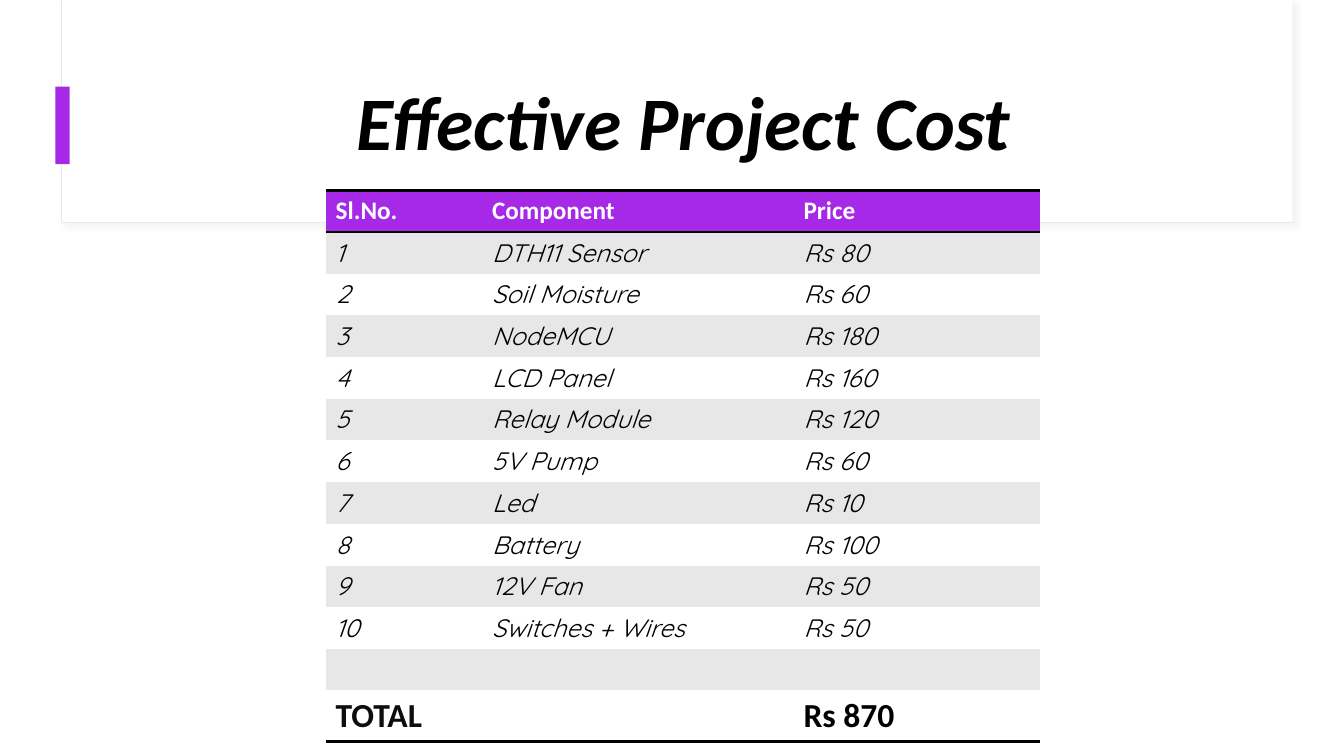
from lxml import etree
from pptx import Presentation
from pptx.dml.color import RGBColor
from pptx.enum.shapes import MSO_SHAPE
from pptx.enum.text import MSO_ANCHOR, MSO_AUTO_SIZE, PP_ALIGN
from pptx.oxml import parse_xml
from pptx.oxml.ns import nsdecls, qn
from pptx.util import Inches, Pt

RECTANGLE = MSO_SHAPE.RECTANGLE
MIDDLE = MSO_ANCHOR.MIDDLE
CENTER = PP_ALIGN.CENTER
NO_AUTOFIT = MSO_AUTO_SIZE.NONE

BLACK = RGBColor(0x00, 0x00, 0x00)
NEAR_BLACK = RGBColor(0x0D, 0x0D, 0x0D)
WHITE = RGBColor(0xFF, 0xFF, 0xFF)
PURPLE = RGBColor(0xA6, 0x29, 0xE7)
BAND_GRAY = RGBColor(0xE7, 0xE7, 0xE7)
FRAME_LINE = RGBColor(0xE3, 0xEB, 0xEF)
SHADOW_GRAY = RGBColor(0xD9, 0xD9, 0xD9)

HEADING_FONT = "Calibri"
BODY_FONT = "Quicksand"
PLAIN_TABLE_STYLE = "{2D5ABB26-0587-4C30-8999-92F81FD0307C}"

HEADER = ("Sl.No.", "Component", "Price")
COMPONENTS = (
    ("DTH11 Sensor", 80),
    ("Soil Moisture", 60),
    ("NodeMCU", 180),
    ("LCD Panel", 160),
    ("Relay Module", 120),
    ("5V Pump", 60),
    ("Led", 10),
    ("Battery", 100),
    ("12V Fan", 50),
    ("Switches + Wires", 50),
)
COLUMN_WIDTHS = (1.55, 3.09, 2.45)
ROW_HEIGHT = 0.41


def write_text(frame, text, font=HEADING_FONT, size=18, color=BLACK,
               bold=False, italic=False, align=None, line_spacing=None):
    para = frame.paragraphs[0]
    if align is not None:
        para.alignment = align
    if line_spacing is not None:
        para.line_spacing = line_spacing
    span = para.add_run()
    span.text = text
    span.font.name = font
    span.font.size = Pt(size)
    span.font.color.rgb = color
    span.font.bold = bold
    span.font.italic = italic


class CostSlide:
    def __init__(self, deck):
        self.page = deck.slides.add_slide(deck.slide_layouts[5])

    def rectangle(self, left, top, width, height, fill, line=None):
        box = self.page.shapes.add_shape(
            RECTANGLE, Inches(left), Inches(top), Inches(width), Inches(height))
        box.shadow.inherit = False
        box.fill.solid()
        box.fill.fore_color.rgb = fill
        if line is None:
            box.line.fill.background()
        else:
            box.line.color.rgb = line
            box.line.width = Pt(0.75)
        return box

    def shadow(self, box, color):
        effects = box._element.spPr.find(qn("a:effectLst"))
        effects.append(parse_xml(
            f'<a:outerShdw {nsdecls("a")} blurRad="{Pt(4)}" dist="{Pt(3)}" '
            f'dir="2700000" algn="tl" rotWithShape="0"><a:srgbClr val="{color}">'
            '<a:alpha val="30000"/></a:srgbClr></a:outerShdw>'))

    def title(self, text, left, top, width, height):
        box = self.page.shapes.title
        self.page.shapes._spTree.append(box._element)
        box.left, box.top = Inches(left), Inches(top)
        box.width, box.height = Inches(width), Inches(height)
        frame = box.text_frame
        frame.word_wrap = True
        frame.auto_size = NO_AUTOFIT
        frame.vertical_anchor = MIDDLE
        write_text(frame, text, size=54, bold=True, italic=True,
                   align=CENTER, line_spacing=0.9)

    def table(self, left, top, widths, row_count):
        frame = self.page.shapes.add_table(
            row_count, len(widths), Inches(left), Inches(top),
            Inches(sum(widths)), Inches(ROW_HEIGHT * row_count))
        table = frame.table
        table.first_row = False
        table.horz_banding = False
        table._tbl.tblPr.find(qn("a:tableStyleId")).text = PLAIN_TABLE_STYLE
        for column, width in zip(table.columns, widths):
            column.width = Inches(width)
        for row in table.rows:
            row.height = Inches(ROW_HEIGHT)
        return table

    def row(self, table, index, texts, fill, formats, borders=()):
        for cell, text, style in zip(table.rows[index].cells, texts, formats):
            for side in borders:
                self.border(cell, side)
            cell.fill.solid()
            cell.fill.fore_color.rgb = fill
            if text:
                write_text(cell.text_frame, text, **style)

    def border(self, cell, side):
        line = etree.SubElement(
            cell._tc.get_or_add_tcPr(), qn(f"a:ln{side}"), w=str(Pt(2)))
        solid = etree.SubElement(line, qn("a:solidFill"))
        etree.SubElement(solid, qn("a:srgbClr"), val=str(BLACK))


def main():
    deck = Presentation()
    deck.slide_width = Inches(13.33)
    deck.slide_height = Inches(7.5)
    slide = CostSlide(deck)

    frame = slide.rectangle(0.61, 0, 12.21, 2.21, WHITE, line=FRAME_LINE)
    slide.shadow(frame, SHADOW_GRAY)
    slide.rectangle(0.62, 0, 12.2, 2.2, WHITE)
    slide.rectangle(0.55, 0.86, 0.14, 0.77, PURPLE)
    slide.title("Effective Project Cost", 1.22, 0.6, 11.12, 1.29)

    header_style = dict(color=WHITE, bold=True)
    item_style = dict(font=BODY_FONT, italic=True)
    label_style = dict(size=24, color=NEAR_BLACK, bold=True)
    total_style = dict(size=24, bold=True)

    table = slide.table(3.23, 1.89, COLUMN_WIDTHS, len(COMPONENTS) + 3)
    slide.row(table, 0, HEADER, PURPLE, [header_style] * 3, borders="TB")
    for number, (component, price) in enumerate(COMPONENTS, 1):
        fill = BAND_GRAY if number % 2 else WHITE
        slide.row(table, number, (str(number), component, f"Rs {price}"),
                  fill, [item_style] * 3)
    spacer = len(COMPONENTS) + 1
    slide.row(table, spacer, ("", "", ""), BAND_GRAY, [item_style] * 3)
    total = sum(price for _, price in COMPONENTS)
    slide.row(table, spacer + 1, ("TOTAL", "", f"Rs {total}"), WHITE,
              [label_style, total_style, total_style], borders="B")

    deck.save("out.pptx")


if __name__ == "__main__":
    main()
